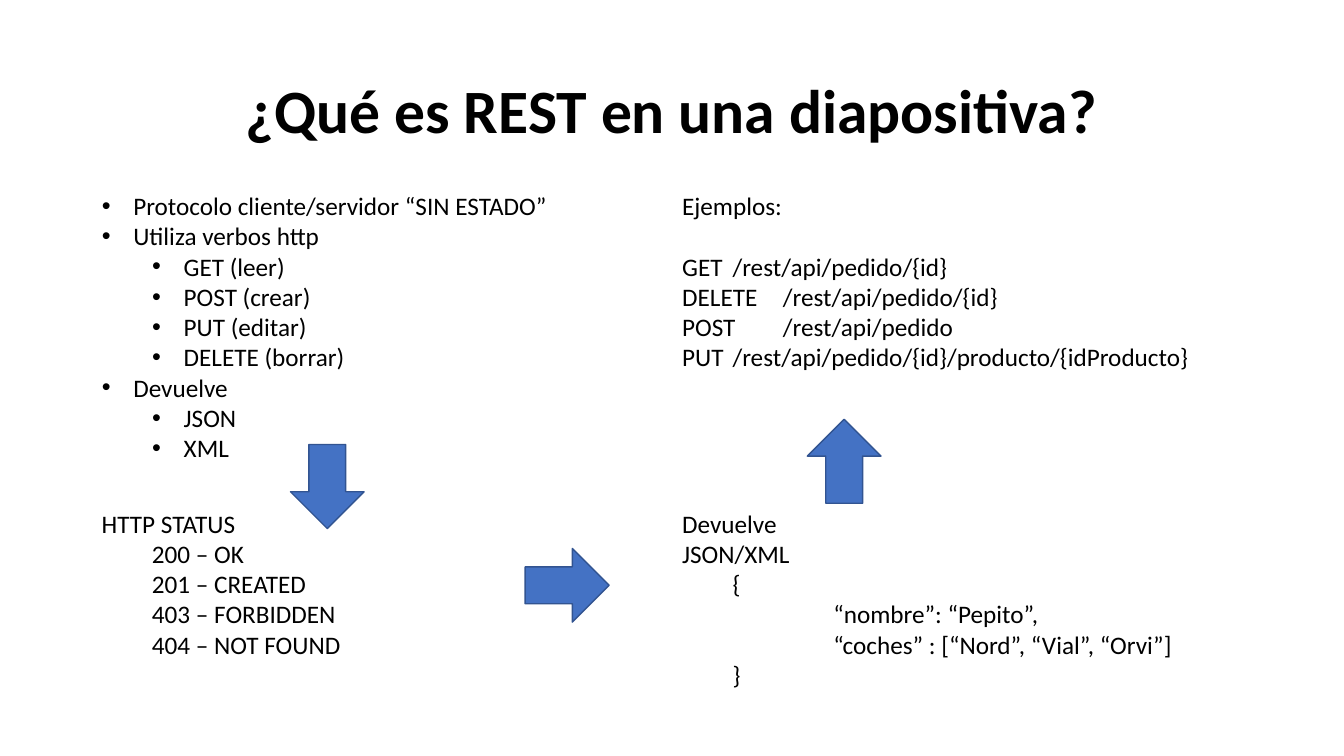
"""Build a one-slide summary of REST."""
from lxml.etree import SubElement
from pptx import Presentation
from pptx.dml.color import RGBColor
from pptx.enum.shapes import MSO_SHAPE
from pptx.enum.text import MSO_ANCHOR, MSO_AUTO_SIZE, PP_ALIGN
from pptx.oxml.ns import qn
from pptx.util import Pt

BLACK = RGBColor(0x00, 0x00, 0x00)
BLUE = RGBColor(0x44, 0x72, 0xC4)
NAVY = RGBColor(0x32, 0x54, 0x91)

TITLE = "¿Qué es REST en una diapositiva?"
RULES = [
    (0, "Protocolo cliente/servidor “SIN ESTADO”"),
    (0, "Utiliza verbos http"),
    (1, "GET (leer)"),
    (1, "POST (crear)"),
    (1, "PUT (editar)"),
    (1, "DELETE (borrar)"),
    (0, "Devuelve"),
    (1, "JSON"),
    (1, "XML"),
]
CALLS = [
    (0, "Ejemplos:"),
    (0, "GET \t/rest/api/pedido/{id}"),
    (0, "DELETE \t/rest/api/pedido/{id}"),
    (0, "POST \t/rest/api/pedido"),
    (0, "PUT \t/rest/api/pedido/{id}/producto/{idProducto}"),
]
CODES = [
    (0, "HTTP STATUS"),
    (1, "200 – OK"),
    (1, "201 – CREATED"),
    (1, "403 – FORBIDDEN"),
    (1, "404 – NOT FOUND"),
]
REPLY = [
    (0, "Devuelve"),
    (0, "JSON/XML"),
    (1, "{"),
    (3, "“nombre”: “Pepito”,"),
    (3, "“coches” : [“Nord”, “Vial”, “Orvi”]"),
    (1, "}"),
]
ARROWS = [(207.5, 317.5, 0), (378.8, 388.1, 270), (576.7, 299.5, 180)]

LEFT, RIGHT = 65.5, 480.2
TOP, LOW = 132.5, 359.3
STEP, HANG, TAB = 36, 22.5, 72
LINE = 21.6
FONT = {"name": "Calibri", "size": Pt(18), "bold": False}
HEAD = {**FONT, "size": Pt(44), "bold": True}


def apply(item, look):
    """Set each attribute named in a dict of format values."""
    for name, value in look.items():
        setattr(item, name, value)


def place(shape, left, top, width, height):
    """Move and size a shape, in points."""
    apply(shape, {"left": Pt(left), "top": Pt(top),
                  "width": Pt(width), "height": Pt(height)})


def style(font, look):
    """Format a font in black."""
    apply(font, look)
    font.color.rgb = BLACK


def write(frame, rows, dots=False):
    """Fill a text frame with indented rows, bulleted if asked."""
    apply(frame, {"word_wrap": True, "auto_size": MSO_AUTO_SIZE.NONE,
                  "vertical_anchor": MSO_ANCHOR.TOP})
    for count, (level, text) in enumerate(rows):
        para = frame.paragraphs[0] if count == 0 else frame.add_paragraph()
        apply(para, {"level": min(level, 1), "alignment": PP_ALIGN.LEFT,
                     "space_before": Pt(0), "space_after": Pt(0)})
        run = para.add_run()
        run.text = text
        style(run.font, FONT)
        hang = HANG if dots else 0
        props = para._p.get_or_add_pPr()
        props.set("marL", str(Pt(level * STEP + hang)))
        props.set("indent", str(Pt(-hang)))
        if dots:
            SubElement(props, qn("a:buFont"), typeface="Arial")
            SubElement(props, qn("a:buChar"), char="•")
        if "\t" in text:
            tabs = SubElement(props, qn("a:tabLst"))
            SubElement(tabs, qn("a:tab"), pos=str(Pt(TAB)), algn="l")


def main():
    """Lay out the title, four text blocks and three arrows."""
    deck = Presentation()
    apply(deck, {"slide_width": Pt(960), "slide_height": Pt(540)})
    slide = deck.slides.add_slide(deck.slide_layouts[1])
    shapes = slide.shapes

    title = shapes.title
    place(title, 66, 28.8, 828, 104.4)
    title.text_frame.text = TITLE
    title.text_frame.vertical_anchor = MSO_ANCHOR.MIDDLE
    para = title.text_frame.paragraphs[0]
    apply(para, {"alignment": PP_ALIGN.CENTER, "line_spacing": 0.9})
    style(para.runs[0].font, HEAD)

    body = slide.placeholders[1]
    place(body, LEFT, TOP, 335.5, 203.8)
    write(body.text_frame, RULES, dots=True)

    blocks = [(CALLS, RIGHT, TOP, 414, 138.2), (CODES, LEFT, LOW, 369.4, 116.6),
              (REPLY, RIGHT, LOW, 369.4, 138.2)]
    for rows, *spot in blocks:
        box = shapes.add_textbox(*map(Pt, spot))
        write(box.text_frame, rows)
        if rows is CALLS:
            box.text_frame.paragraphs[0].space_after = Pt(LINE)

    for left, top, turn in ARROWS:
        arrow = shapes.add_shape(MSO_SHAPE.DOWN_ARROW, Pt(left), Pt(top), Pt(52.6), Pt(60))
        arrow.rotation = turn
        arrow.shadow.inherit = False
        arrow.fill.solid()
        arrow.fill.fore_color.rgb = BLUE
        arrow.line.color.rgb = NAVY
        arrow.line.width = Pt(1)

    deck.save("out.pptx")


if __name__ == "__main__":
    main()
